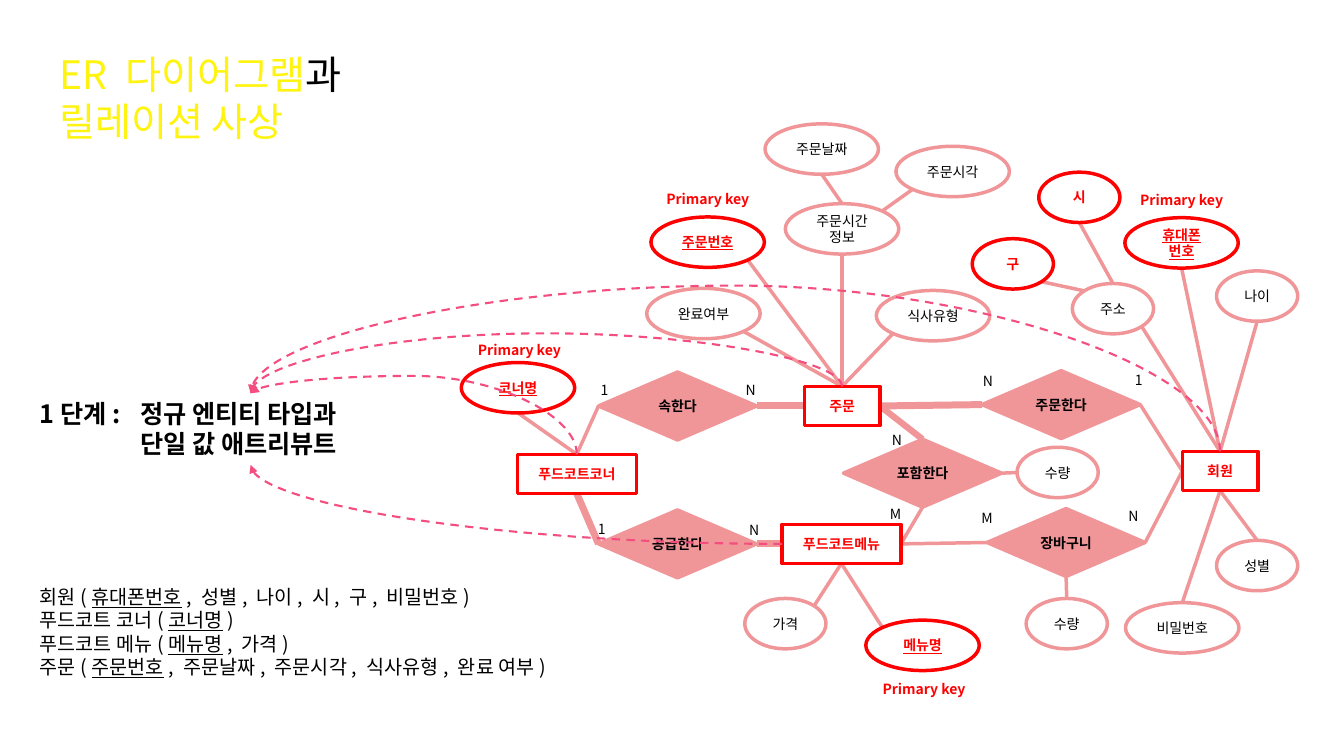
from collections import namedtuple
from math import sqrt

from lxml.etree import SubElement
from pptx import Presentation
from pptx.dml.color import RGBColor
from pptx.enum.dml import MSO_LINE
from pptx.enum.shapes import MSO_CONNECTOR as Link, MSO_SHAPE as Preset
from pptx.enum.text import MSO_ANCHOR as Anchor, MSO_AUTO_SIZE as AutoSize, PP_ALIGN as Align
from pptx.oxml.ns import qn
from pptx.util import Pt

FONT = "Noto Sans CJK KR"
BLACK = RGBColor(0, 0, 0)
YELLOW = RGBColor(0xFF, 0xF3, 0x10)
RED = RGBColor(0xFF, 0, 0)
ROSE = RGBColor(0xF0, 0x96, 0x99)
PINK = RGBColor(0xF3, 0x4E, 0x7F)

Box = namedtuple("Box", "left top width height")
Node = namedtuple("Node", "kind x y text role", defaults=("plain",))

TITLE_BOX = Box(35, 32, 263, 75)
STEP_BOX = Box(21, 281, 316, 51)
RELATION_BOX = Box(21, 414, 485, 92)
DIAGRAM_BOX = Box(324, 84, 612, 422)

KINDS = {
    "entity": (Preset.RECTANGLE, 54, 28),
    "wide entity": (Preset.RECTANGLE, 85, 28),
    "relationship": (Preset.DIAMOND, 113, 48.5),
    "attribute": (Preset.OVAL, 58, 36),
    "wide attribute": (Preset.OVAL, 81, 36),
}
NODES = {
    "메뉴": Node("wide entity", 277, 304.5, "푸드코트메뉴", "strong"),
    "회원": Node("entity", 547.5, 252.5, "회원", "strong"),
    "코너": Node("wide entity", 88, 254.5, "푸드코트코너", "strong"),
    "주문": Node("entity", 277.5, 206, "주문", "strong"),
    "공급": Node("relationship", 160, 304.5, "공급한다"),
    "포함": Node("relationship", 335, 254, "포함한다"),
    "속": Node("relationship", 160, 206, "속한다"),
    "장바구니": Node("relationship", 437.5, 303.5, "장바구니"),
    "주문한다": Node("relationship", 434, 205, "주문한다"),
    "날짜": Node("wide attribute", 263, 22.5, "주문날짜"),
    "주문번호": Node("wide attribute", 181.5, 89, "주문번호", "key"),
    "시각": Node("wide attribute", 356.5, 38.5, "주문시각"),
    "식사": Node("wide attribute", 342.5, 141.5, "식사유형"),
    "비밀": Node("wide attribute", 520.5, 364.5, "비밀번호"),
    "코너명": Node("wide attribute", 46, 193, "코너명", "key"),
    "시간": Node("wide attribute", 277.5, 79.5, "주문시간정보"),
    "메뉴명": Node("wide attribute", 335, 377, "메뉴명", "key"),
    "휴대폰": Node("wide attribute", 520, 89.5, "휴대폰\n번호", "key"),
    "완료": Node("wide attribute", 178.5, 140, "완료여부"),
    "주소": Node("attribute", 471, 136.5, "주소"),
    "구": Node("attribute", 399.5, 104.5, "구", "strong"),
    "시": Node("attribute", 447, 57, "시", "strong"),
    "나이": Node("attribute", 574, 127.5, "나이"),
    "성별": Node("attribute", 574, 320, "성별"),
    "포함 수량": Node("attribute", 431.5, 253.5, "수량"),
    "장바구니 수량": Node("attribute", 438, 361.5, "수량"),
    "가격": Node("attribute", 237, 361.5, "가격"),
}
DIAGONAL = 1 / sqrt(2)
SIDES = {
    "top": (0, -1), "bottom": (0, 1), "left": (-1, 0), "right": (1, 0),
    "top left": (-DIAGONAL, -DIAGONAL), "top right": (DIAGONAL, -DIAGONAL),
    "bottom left": (-DIAGONAL, DIAGONAL), "bottom right": (DIAGONAL, DIAGONAL),
}
LINKS = [
    ("포함", "right", "포함 수량", "left", 2.5),
    ("성별", "top", "회원", "bottom", 2.5),
    ("비밀", "top", "회원", "bottom", 2.5),
    ("나이", "bottom", "회원", "top", 2.5),
    ("주소", "bottom right", "회원", "top", 2.5),
    ("회원", "top", "휴대폰", "bottom", 2.5),
    ("주문번호", "bottom right", "주문", "top", 2.5),
    ("메뉴", "bottom", "메뉴명", "top left", 2.5),
    ("메뉴", "bottom", "가격", "top right", 2.5),
    ("날짜", "bottom", "시간", "top", 2.5),
    ("코너", "top", "코너명", "bottom", 2.5),
    ("주문", "top", "시간", "bottom", 2.5),
    ("시간", "top right", "시각", "bottom left", 2.5),
    ("포함", "top", "주문", "right", 4.5),
    ("회원", "left", "주문한다", "right", 2.5),
    ("공급", "left", "코너", "bottom", 5),
    ("공급", "right", "메뉴", "left", 5),
    ("메뉴", "right", "포함", "bottom", 2.5),
    ("주문", "top", "식사", "bottom left", 2.5),
    ("주문한다", "left", "주문", "right", 5),
    ("시", "bottom", "주소", "top", 2.5),
    ("구", "bottom right", "주소", "top left", 2.5),
    ("속", "right", "주문", "left", 5),
    ("주문", "top", "완료", "bottom right", 2.5),
    ("코너", "top", "속", "left", 2.5),
    ("회원", "left", "장바구니", "right", 2.5),
    ("메뉴", "right", "장바구니", "left", 2.5),
    ("장바구니", "bottom", "장바구니 수량", "top", 2.5),
]
CARDINALITIES = [
    ("N", 204, 281), ("1", 96, 280.5), ("N", 306, 217), ("M", 304.5, 270),
    ("N", 201.5, 181), ("1", 98, 181), ("N", 475, 271.5), ("M", 370, 273),
    ("N", 371, 175), ("1", 479.5, 174),
]
KEY_LABELS = [(181.5, 45), (47, 153), (336, 395), (520, 45.5)]


def write_span(para, text, size=10, color=BLACK, bold=False, underline=False, align=Align.LEFT):
    para.alignment = align
    para.line_spacing = Pt(size * 1.2)
    para.space_before = para.space_after = Pt(0)
    span = para.add_run()
    span.text = text
    span.font.name = FONT
    span.font.size = Pt(size)
    span.font.bold = bold
    span.font.underline = underline
    span.font.color.rgb = color
    SubElement(span._r.get_or_add_rPr(), qn("a:ea"), typeface=FONT)


def next_para(frame, index):
    return frame.add_paragraph() if index else frame.paragraphs[0]


def set_frame(shape, anchor=Anchor.TOP, inset=3.6):
    frame = shape.text_frame
    frame.word_wrap = True
    frame.auto_size = AutoSize.NONE
    frame.vertical_anchor = anchor
    frame.margin_left = frame.margin_right = Pt(7.2)
    frame.margin_top = frame.margin_bottom = Pt(inset)
    return frame


def move(shape, box):
    shape.left, shape.top, shape.width, shape.height = map(Pt, box)


def add_link(page, kind, start, end, color, width):
    link = page.shapes.add_connector(kind, *map(Pt, (*start, *end)))
    link.line.color.rgb = color
    link.line.width = Pt(width)
    SubElement(link._element.spPr, qn("a:effectLst"))
    return link


def add_label(page, text, box, **style):
    frame = set_frame(page.shapes.add_textbox(*map(Pt, box)), inset=7.2)
    write_span(frame.paragraphs[0], text, **style)


def add_title(page, box):
    title = page.shapes.title
    move(title, box)
    frame = set_frame(title)
    lines = [[("ER 다이어그램", YELLOW), ("과", BLACK)], [("릴레이션 사상", YELLOW)]]
    for index, line in enumerate(lines):
        para = next_para(frame, index)
        for text, color in line:
            write_span(para, text, size=28, color=color)


def add_step(page, box):
    frame = set_frame(page.shapes.add_textbox(*map(Pt, box)))
    for index, text in enumerate(["1단계: \t정규 엔티티 타입과", "\t단일 값 애트리뷰트"]):
        para = next_para(frame, index)
        tabs = SubElement(para._p.get_or_add_pPr(), qn("a:tabLst"))
        SubElement(tabs, qn("a:tab"), pos=str(Pt(72)), algn="l")
        write_span(para, text, size=18, bold=True)


def add_relations(page, box):
    body = page.placeholders[1]
    move(body, box)
    frame = set_frame(body)
    relations = [
        ("회원(", "휴대폰번호", ", 성별, 나이, 시, 구, 비밀번호)"),
        ("푸드코트 코너(", "코너명", ")"),
        ("푸드코트 메뉴(", "메뉴명", ", 가격)"),
        ("주문(", "주문번호", ", 주문날짜, 주문시각, 식사유형, 완료 여부)"),
    ]
    for index, (name, key, rest) in enumerate(relations):
        para = next_para(frame, index)
        props = para._p.get_or_add_pPr()
        props.set("marL", "0")
        props.set("indent", "0")
        SubElement(props, qn("a:buNone"))
        for text in (name, key, rest):
            write_span(para, text, size=14, underline=text == key)


def side_point(box, name, side):
    node = NODES[name]
    _, width, height = KINDS[node.kind]
    across, down = SIDES[side]
    return (box.left + node.x + across * width / 2, box.top + node.y + down * height / 2)


def add_node(page, box, node):
    preset, width, height = KINDS[node.kind]
    place = (box.left + node.x - width / 2, box.top + node.y - height / 2, width, height)
    shape = page.shapes.add_shape(preset, *map(Pt, place))
    shape.shadow.inherit = False
    related = node.kind == "relationship"
    strong = node.role != "plain"
    if related:
        shape.fill.solid()
        shape.fill.fore_color.rgb = ROSE
    else:
        shape.fill.background()
    shape.line.color.rgb = RED if strong else ROSE
    shape.line.width = Pt(2.5)
    frame = set_frame(shape, Anchor.MIDDLE, 7.2)
    for index, text in enumerate(node.text.split("\n")):
        write_span(next_para(frame, index), text, color=RED if strong else BLACK,
                   bold=strong or related, underline=node.role == "key", align=Align.CENTER)


def add_diagram(page, box):
    for first, first_side, second, second_side, width in LINKS:
        add_link(page, Link.STRAIGHT, side_point(box, first, first_side),
                 side_point(box, second, second_side), ROSE, width)
    for node in NODES.values():
        add_node(page, box, node)
    for text, x, y in CARDINALITIES:
        add_label(page, text, (box.left + x, box.top + y, 21.5, 26.5))
    for x, y in KEY_LABELS:
        add_label(page, "Primary key", (box.left + x - 44.5, box.top + y, 89, 26.5),
                  color=RED, bold=True, align=Align.CENTER)


def add_curve(page, start, end, preset, turn, adjust=None):
    curve = add_link(page, Link.CURVE, start, end, PINK, 1.5)
    curve.line.dash_style = MSO_LINE.DASH
    SubElement(curve.line._get_or_add_ln(), qn("a:tailEnd"), type="triangle")
    props = curve._element.spPr
    props.find(qn("a:xfrm")).set("rot", str(turn * 60000))
    geometry = props.find(qn("a:prstGeom"))
    geometry.set("prst", preset)
    if adjust is not None:
        SubElement(geometry.find(qn("a:avLst")), qn("a:gd"), name="adj1",
                   fmla=f"val {round(adjust * 100000)}")


def add_mapping_arrows(page, step, diagram):
    middle = step.left + step.width / 2
    for name, peak in (("주문", 238), ("코너", 268.5), ("회원", 204)):
        x, y = side_point(diagram, name, "top")
        rise, reach = y - step.top, x - middle
        center_x, center_y = (x + middle) / 2, (y + step.top) / 2
        add_curve(page, (center_x - rise / 2, center_y + reach / 2),
                  (center_x + rise / 2, center_y - reach / 2),
                  "curvedConnector3", 270, (y - peak) / rise)
    add_curve(page, (middle, step.top + step.height), side_point(diagram, "메뉴", "left"),
              "curvedConnector2", 180)


def main():
    deck = Presentation()
    deck.slide_width, deck.slide_height = Pt(960), Pt(540)
    page = deck.slides.add_slide(deck.slide_layouts[1])
    add_title(page, TITLE_BOX)
    add_diagram(page, DIAGRAM_BOX)
    add_relations(page, RELATION_BOX)
    add_step(page, STEP_BOX)
    add_mapping_arrows(page, STEP_BOX, DIAGRAM_BOX)
    deck.save("out.pptx")


if __name__ == "__main__":
    main()
